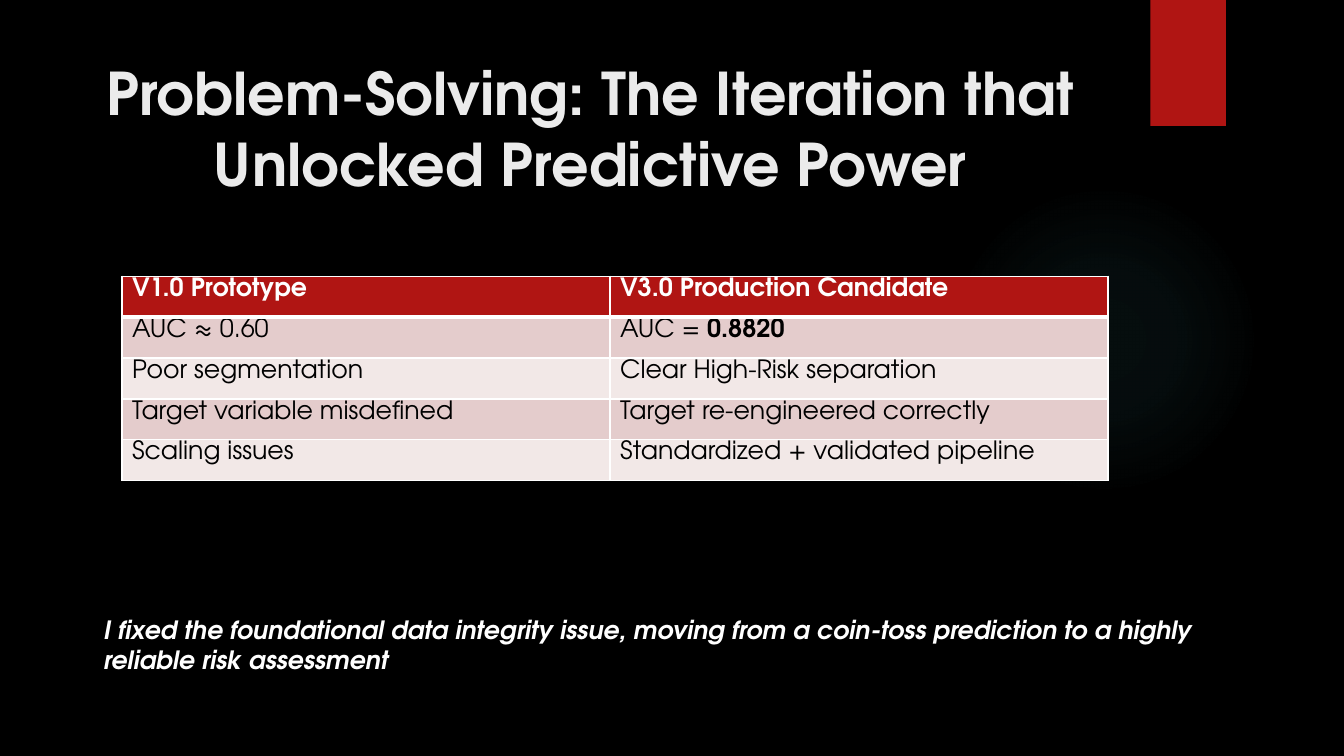
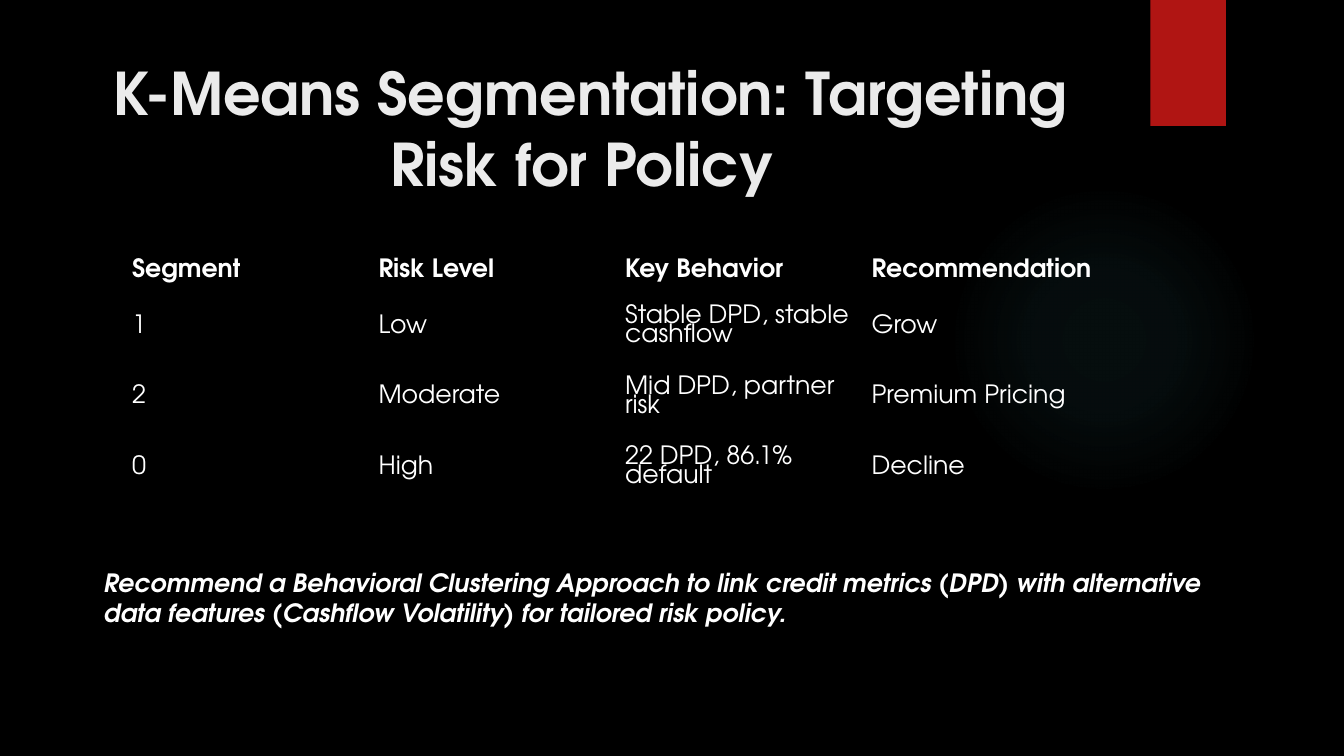
from dataclasses import dataclass

from lxml import etree
from pptx import Presentation
from pptx.dml.color import RGBColor
from pptx.enum.shapes import MSO_SHAPE
from pptx.enum.text import MSO_ANCHOR, MSO_AUTO_SIZE, PP_ALIGN
from pptx.oxml import parse_xml
from pptx.oxml.ns import qn
from pptx.util import Inches, Pt

RECTANGLE, OVAL = MSO_SHAPE.RECTANGLE, MSO_SHAPE.OVAL
TOP, MIDDLE = MSO_ANCHOR.TOP, MSO_ANCHOR.MIDDLE
NO_AUTOFIT = MSO_AUTO_SIZE.NONE
CENTER = PP_ALIGN.CENTER
TITLE_ONLY = 5
PLAIN_TABLE_STYLE = "{2D5ABB26-0587-4C30-8999-92F81FD0307C}"
DRAWING_NAMESPACE = "http://schemas.openxmlformats.org/drawingml/2006/main"


@dataclass(frozen=True)
class Theme:
    font: str = "TeX Gyre Adventor"
    background: str = "000000"
    accent: str = "B01513"
    glow: str = "50B9C1"
    title: str = "EBEBEB"
    light: str = "FFFFFF"
    dark: str = "000000"
    bands: tuple = ("E4CCCC", "F2E8E7")
    title_size: int = 42
    text_size: int = 18
    table_spacing: float = 0.8
    border: int = 1
    header_border: int = 3


THEME = Theme()
TITLE_BOX = (0.71, 0.5, 10.29, 1.53)
GLOW_BOX = (9.41, 1.83, 3.08, 3.08)
RIBBON_BOX = (11.41, 0, 0.75, 1.25)


def to_inches(box):
    return [Inches(length) for length in box]


def paint(fill, color):
    fill.solid()
    fill.fore_color.rgb = RGBColor.from_string(color)


def add_run(paragraph, text, color, size=THEME.text_size, bold=False, italic=False):
    run = paragraph.add_run()
    run.text = text
    font = run.font
    font.name, font.size = THEME.font, Pt(size)
    font.bold, font.italic = bold, italic
    font.color.rgb = RGBColor.from_string(color)


def add_plain_shape(slide, kind, box):
    shape = slide.shapes.add_shape(kind, *to_inches(box))
    shape.shadow.inherit = False
    shape.line.fill.background()
    return shape


def apply_glow(shape):
    shape.fill.background()
    stops = "".join(
        f'<a:gs pos="{position}000"><a:srgbClr val="{THEME.glow}">'
        f'<a:alpha val="{opacity}000"/></a:srgbClr></a:gs>'
        for position, opacity in ((0, 7), (36, 6), (69, 0))
    )
    gradient = parse_xml(
        f'<a:gradFill xmlns:a="{DRAWING_NAMESPACE}"><a:gsLst>{stops}</a:gsLst>'
        '<a:path path="circle"><a:fillToRect l="50000" t="50000" r="50000" b="50000"/>'
        "</a:path></a:gradFill>"
    )
    properties = shape.element.spPr
    properties.replace(properties.find(qn("a:noFill")), gradient)


def style_layout(layout, slide):
    paint(layout.background.fill, THEME.background)
    title = layout.placeholders[0]
    title.left, title.top, title.width, title.height = to_inches(TITLE_BOX)
    glow = add_plain_shape(slide, OVAL, GLOW_BOX)
    apply_glow(glow)
    ribbon = add_plain_shape(slide, RECTANGLE, RIBBON_BOX)
    paint(ribbon.fill, THEME.accent)
    for shape in (glow, ribbon):
        title.element.addprevious(shape.element)


def fill_title(slide, text):
    frame = slide.shapes.title.text_frame
    frame.auto_size = NO_AUTOFIT
    frame.vertical_anchor = MIDDLE
    paragraph = frame.paragraphs[0]
    paragraph.alignment = CENTER
    add_run(paragraph, text, THEME.title, THEME.title_size, bold=True)


def add_takeaway(slide, box, text):
    frame = slide.shapes.add_textbox(*to_inches(box)).text_frame
    frame.word_wrap = True
    add_run(frame.paragraphs[0], text, THEME.light, bold=True, italic=True)


def set_borders(cell, top, bottom):
    properties = cell._tc.get_or_add_tcPr()
    widths = {"lnL": THEME.border, "lnR": THEME.border, "lnT": top, "lnB": bottom}
    for side, width in widths.items():
        line = etree.SubElement(properties, qn(f"a:{side}"), w=str(Pt(width)))
        fill = etree.SubElement(line, qn("a:solidFill"))
        etree.SubElement(fill, qn("a:srgbClr"), val=THEME.light)


def style_banded_cell(cell, row):
    header_edge, edge = THEME.header_border, THEME.border
    set_borders(cell, header_edge if row == 1 else edge, header_edge if row == 0 else edge)
    paint(cell.fill, THEME.accent if row == 0 else THEME.bands[(row - 1) % 2])


def add_table(slide, box, rows, column_widths, row_heights, banded):
    frame = slide.shapes.add_table(len(rows), len(column_widths), *to_inches(box))
    table = frame.table
    table.horz_banding = False
    table._tbl.tblPr.find(qn("a:tableStyleId")).text = PLAIN_TABLE_STYLE
    for column, width in zip(table.columns, column_widths):
        column.width = Inches(width)
    for row, height in zip(table.rows, row_heights):
        row.height = Inches(height)
    for row_index, values in enumerate(rows):
        for column_index, value in enumerate(values):
            cell = table.cell(row_index, column_index)
            cell.vertical_anchor = TOP if banded else MIDDLE
            if banded:
                style_banded_cell(cell, row_index)
            else:
                cell.fill.background()
            paragraph = cell.text_frame.paragraphs[0]
            paragraph.line_spacing = THEME.table_spacing
            color = THEME.dark if banded and row_index else THEME.light
            pieces = [value] if isinstance(value, str) else value
            for piece_index, text in enumerate(pieces):
                add_run(paragraph, text, color, bold=row_index == 0 or piece_index > 0)


def build_iteration_slide(slide):
    fill_title(slide, "Problem-Solving: The Iteration that Unlocked Predictive Power")
    rows = [
        ("V1.0 Prototype", "V3.0 Production Candidate"),
        ("AUC ≈ 0.60", ("AUC = ", "0.8820")),
        ("Poor segmentation", "Clear High-Risk separation"),
        ("Target variable misdefined", "Target re-engineered correctly"),
        ("Scaling issues", "Standardized + validated pipeline"),
    ]
    box = (1.21, 2.74, 9.78, 2.03)
    add_table(slide, box, rows, (4.84, 4.94), [box[3] / len(rows)] * len(rows), banded=True)
    add_takeaway(
        slide,
        (0.93, 6.04, 11.28, 0.71),
        "I fixed the foundational data integrity issue, moving from a coin-toss "
        "prediction to a highly reliable risk assessment",
    )


def build_segmentation_slide(slide):
    fill_title(slide, "K-Means Segmentation: Targeting Risk for Policy ")
    rows = [
        ("Segment", "Risk Level", "Key Behavior", "Recommendation"),
        ("1", "Low", "Stable DPD, stable cashflow", "Grow"),
        ("2", "Moderate", "Mid DPD, partner risk", "Premium Pricing"),
        ("0", "High", "22 DPD, 86.1% default", "Decline"),
    ]
    box = (1.21, 2.5, 9.78, 2.5)
    add_table(slide, box, rows, [box[2] / 4] * 4, (0.4, 0.7, 0.7, 0.7), banded=False)
    add_takeaway(
        slide,
        (0.93, 5.58, 11.57, 0.71),
        "Recommend a Behavioral Clustering Approach to link credit metrics (DPD) with "
        "alternative data features (Cashflow Volatility) for tailored risk policy.",
    )


def main():
    presentation = Presentation()
    presentation.slide_width, presentation.slide_height = Inches(13.33), Inches(7.5)
    layout = presentation.slide_layouts[TITLE_ONLY]
    builders = (build_iteration_slide, build_segmentation_slide)
    slides = [presentation.slides.add_slide(layout) for _ in builders]
    style_layout(layout, slides[0])
    for build, slide in zip(builders, slides):
        build(slide)
    presentation.save("out.pptx")


if __name__ == "__main__":
    main()
